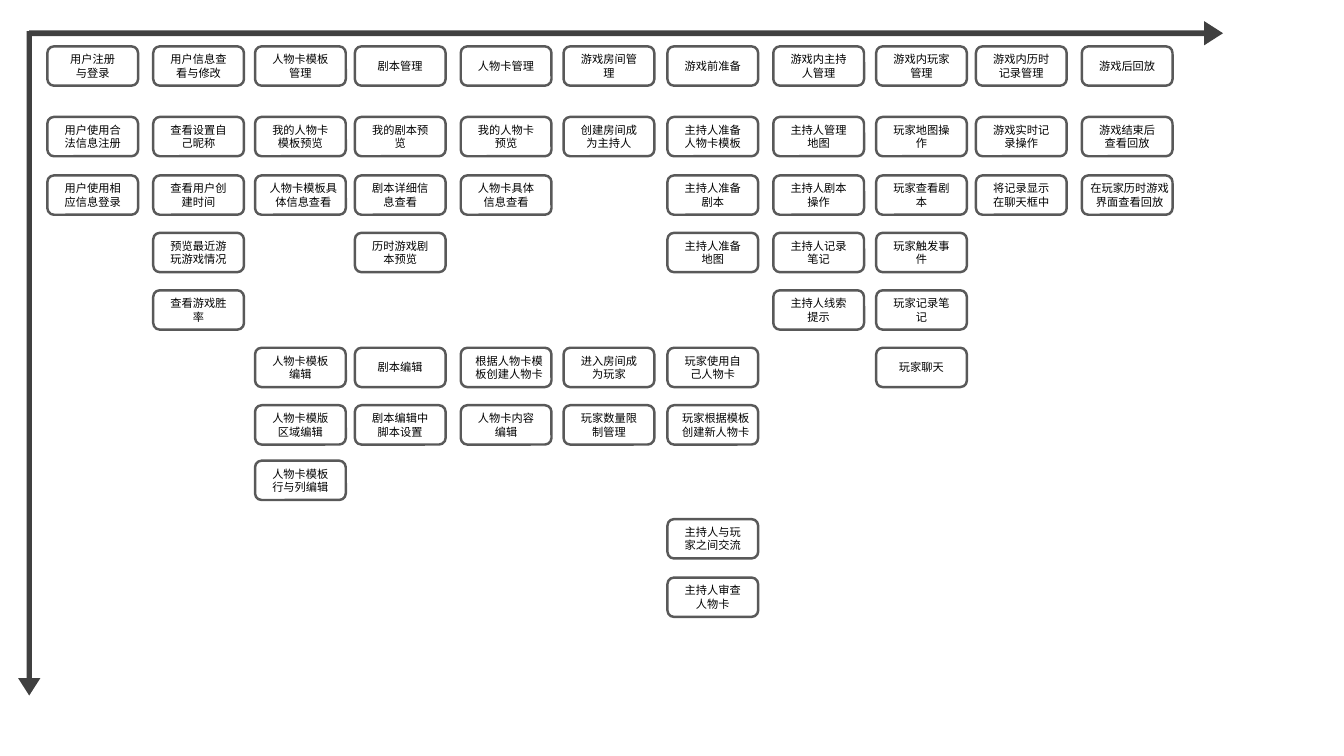
import pptx
import pptx.dml.color
import pptx.enum.shapes
import pptx.enum.text
import pptx.oxml.ns
import pptx.util
from lxml import etree

Inches = pptx.util.Inches
SHAPES = pptx.enum.shapes.MSO_SHAPE
FONT = "Noto Sans CJK SC"
CARD_WIDTH, CARD_HEIGHT = 0.9, 0.39
ROW_TOPS = [0.46, 1.16, 1.74, 2.31, 2.88, 3.45, 4.02, 4.57, 5.15, 5.73]
RELEASE_ROWS = [1, 5, 8]

ACTIVITIES = [
    (0.47, "用户注册\n与登录", [["用户使用合法信息注册", "用户使用相应信息登录"]]),
    (1.52, "用户信息查看与修改", [
        ["查看设置自己昵称", "查看用户创建时间", "预览最近游玩游戏情况", "查看游戏胜率"]]),
    (2.53, "人物卡模板管理", [
        ["我的人物卡模板预览", "人物卡模板具体信息查看"],
        ["人物卡模板编辑", "人物卡模版区域编辑", "人物卡模板行与列编辑"]]),
    (3.52, "剧本管理", [
        ["我的剧本预览", "剧本详细信息查看", "历时游戏剧本预览"],
        ["剧本编辑", "剧本编辑中脚本设置"]]),
    (4.57, "人物卡管理", [
        ["我的人物卡预览", "人物卡具体信息查看"],
        ["根据人物卡模板创建人物卡", "人物卡内容编辑"]]),
    (5.59, "游戏房间管理", [
        ["创建房间成为主持人"],
        ["进入房间成为玩家", "玩家数量限制管理"]]),
    (6.62, "游戏前准备", [
        ["主持人准备人物卡模板", "主持人准备剧本", "主持人准备地图"],
        ["玩家使用自己人物卡", "玩家根据模板创建新人物卡"],
        ["主持人与玩家之间交流", "主持人审查人物卡"]]),
    (7.67, "游戏内主持人管理", [
        ["主持人管理地图", "主持人剧本操作", "主持人记录笔记", "主持人线索提示"]]),
    (8.69, "游戏内玩家管理", [
        ["玩家地图操作", "玩家查看剧本", "玩家触发事件", "玩家记录笔记"],
        ["玩家聊天"]]),
    (9.68, "游戏内历时记录管理", [["游戏实时记录操作", "将记录显示在聊天框中"]]),
    (10.73, "游戏后回放", [["游戏结束后查看回放", "在玩家历时游戏界面查看回放"]]),
]


def color(value):
    return pptx.dml.color.RGBColor.from_string(value)


def side_margins(text):
    if len(text) > 12:
        return 0.05, 0
    if len(text) > 10:
        return 0.11, 0.05
    return 0.11, 0.11


def add_axis(slide, kind, left, top, width, height):
    arrow = slide.shapes.add_shape(
        kind, Inches(left), Inches(top), Inches(width), Inches(height))
    arrow.adjustments[0] = 0.24
    arrow.adjustments[1] = 0.78
    arrow.shadow.inherit = False
    arrow.fill.solid()
    arrow.fill.fore_color.rgb = color("404040")
    arrow.line.fill.background()


def add_card(slide, left, top, text):
    card = slide.shapes.add_shape(
        SHAPES.ROUNDED_RECTANGLE, Inches(left), Inches(top),
        Inches(CARD_WIDTH), Inches(CARD_HEIGHT))
    card.shadow.inherit = False
    card.fill.background()
    card.line.color.rgb = color("595959")
    card.line.width = pptx.util.Pt(1.75)
    frame = card.text_frame
    frame.text = text
    frame.word_wrap = True
    frame.vertical_anchor = pptx.enum.text.MSO_ANCHOR.MIDDLE
    left_margin, right_margin = side_margins(text)
    frame.margin_left = Inches(left_margin)
    frame.margin_right = Inches(right_margin)
    frame.margin_top = frame.margin_bottom = 0
    for paragraph in frame.paragraphs:
        paragraph.alignment = pptx.enum.text.PP_ALIGN.CENTER
        for run in paragraph.runs:
            run.font.size = pptx.util.Pt(8)
            run.font.name = FONT
            run.font.color.rgb = color("000000")
            east_asian = etree.SubElement(
                run.font._element, pptx.oxml.ns.qn("a:ea"))
            east_asian.set("typeface", FONT)


def add_activity(slide, left, title, releases):
    add_card(slide, left, ROW_TOPS[0], title)
    for first_row, stories in zip(RELEASE_ROWS, releases):
        for row, story in enumerate(stories, first_row):
            add_card(slide, left, ROW_TOPS[row], story)


def add_story_map(slide):
    add_axis(slide, SHAPES.RIGHT_ARROW, 0.29, 0.21, 11.84, 0.24)
    add_axis(slide, SHAPES.DOWN_ARROW, 0.18, 0.31, 0.22, 6.59)
    for left, title, releases in ACTIVITIES:
        add_activity(slide, left, title, releases)


presentation = pptx.Presentation()
presentation.slide_width = Inches(13.33)
presentation.slide_height = Inches(7.5)
story_slide = presentation.slides.add_slide(presentation.slide_layouts[6])
add_story_map(story_slide)
presentation.save("out.pptx")
